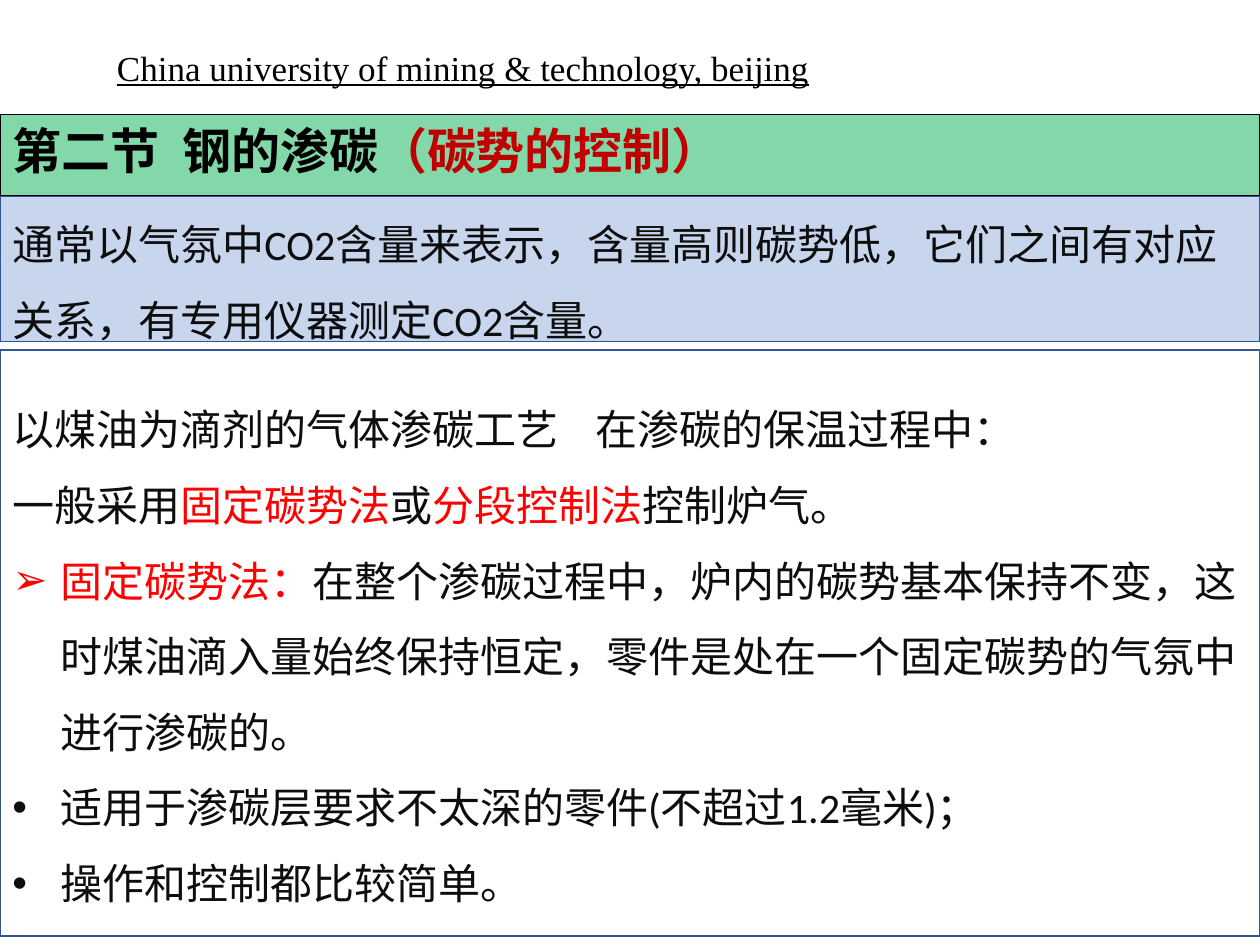
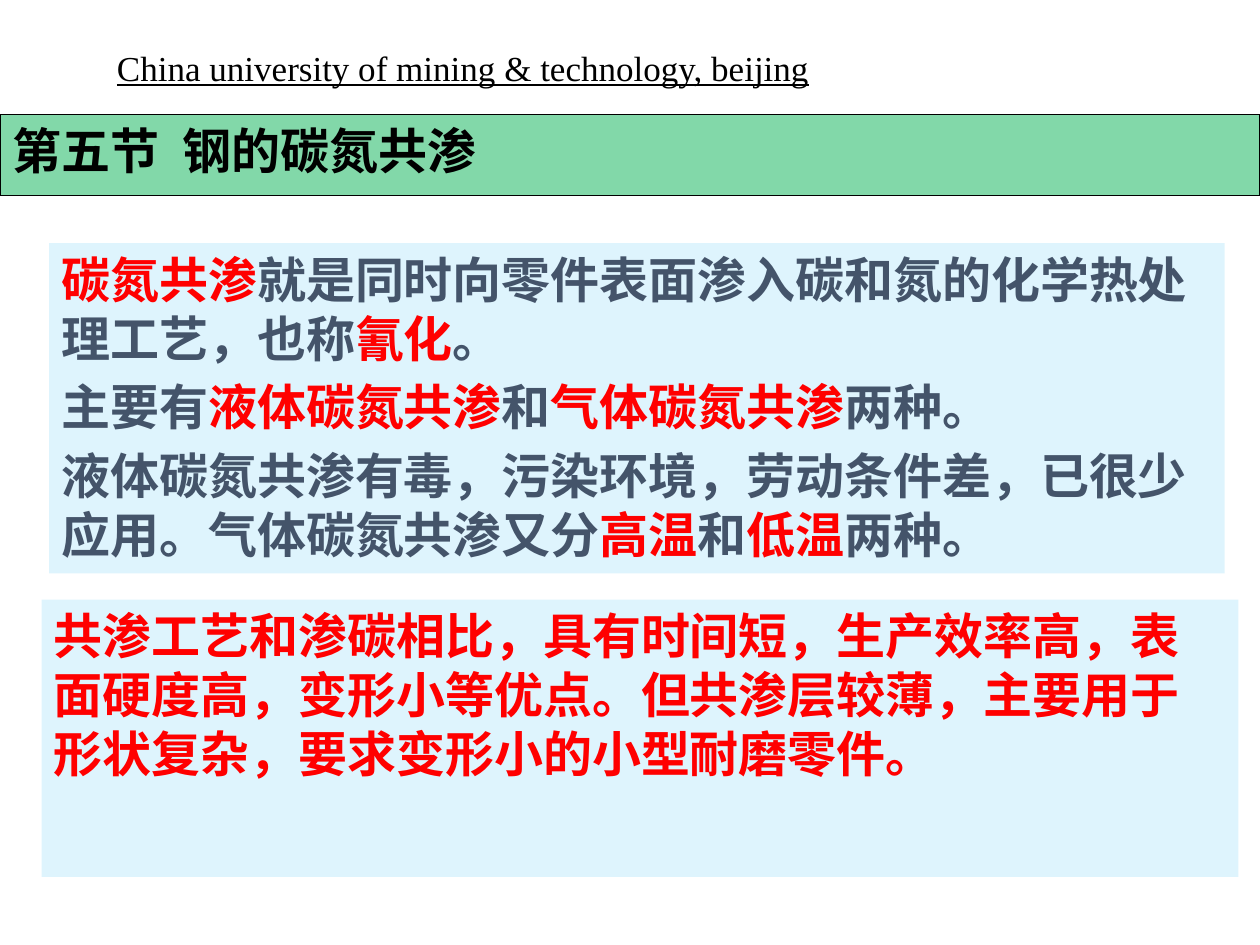
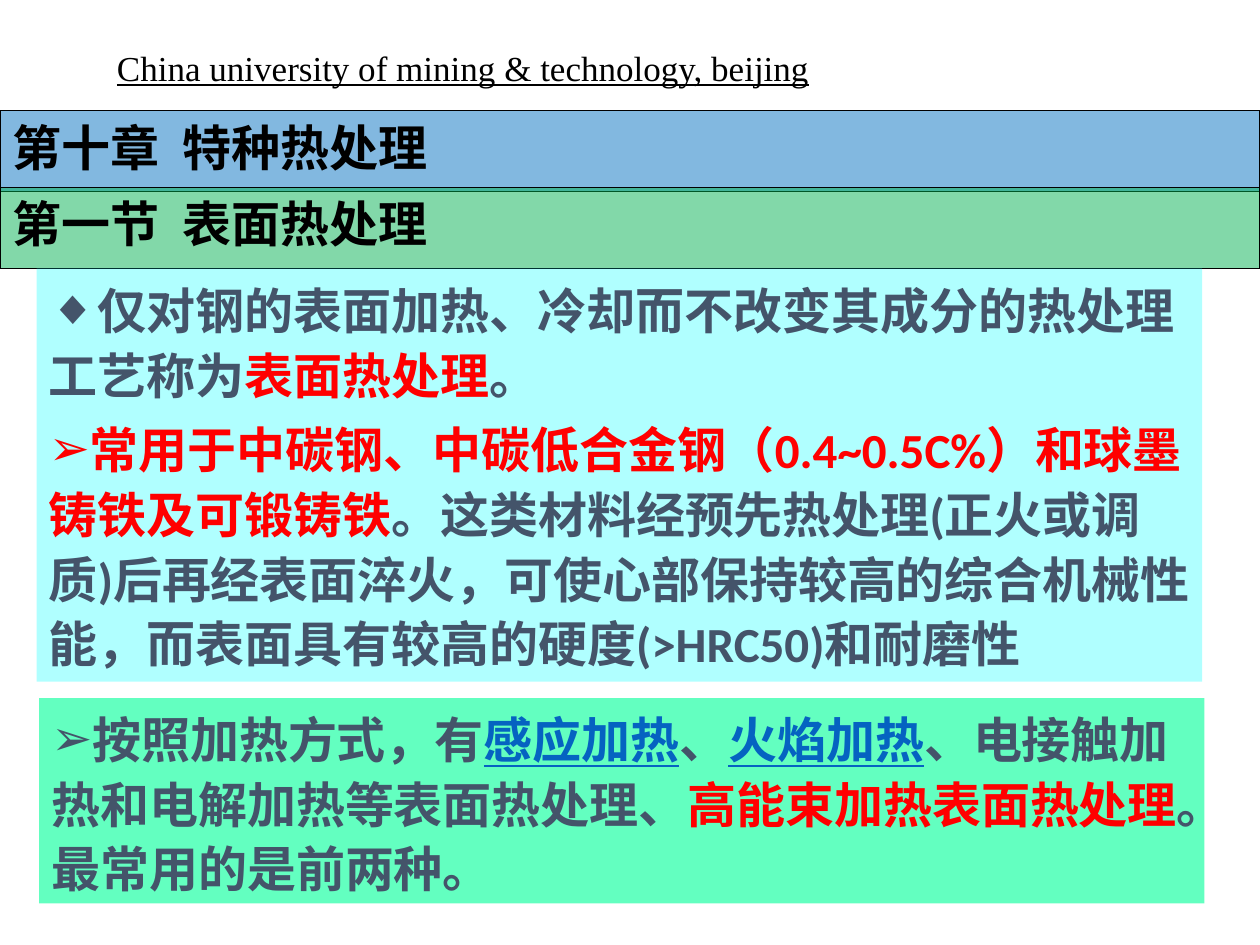
from lxml import etree
from pptx import Presentation
from pptx.dml.color import RGBColor
from pptx.enum.shapes import MSO_SHAPE
from pptx.enum.text import MSO_ANCHOR, PP_ALIGN
from pptx.oxml.ns import qn
from pptx.util import Inches, Pt

RECTANGLE = MSO_SHAPE.RECTANGLE
TOP, MIDDLE = MSO_ANCHOR.TOP, MSO_ANCHOR.MIDDLE
LEFT = PP_ALIGN.LEFT

BLACK, RED, DARK_RED = "000000", "FF0000", "C00000"
INK, SLATE, LINK, NAVY = "0D0D0D", "44546A", "0563C1", "325491"
GREEN, BLUE, PERIWINKLE = "00B050", "0070C0", "4472C4"
SKY, CYAN, MINT = "00B0F0", "00FFFF", "00FF99"

SLIDE_WIDTH, SLIDE_HEIGHT = 10, 7.5
BAND_HEIGHT = 0.64
BAND_TOP = 0.91
HEADING_TAB = 1.35
UNIVERSITY = "China university of mining & technology, beijing"


def color(value):
    """Turn a hex string into a colour."""
    return RGBColor.from_string(value)


def add_panel(slide, box, fill=None, opacity=100, line=None, line_width=1, anchor=TOP):
    """Add a rectangle and return its text frame."""
    shape = slide.shapes.add_shape(RECTANGLE, *map(Inches, box))
    shape.shadow.inherit = False
    if fill:
        shape.fill.solid()
        shape.fill.fore_color.rgb = color(fill)
        tint = shape.fill._xPr.find(qn("a:solidFill"))[0]
        etree.SubElement(tint, qn("a:alpha"), val=str(opacity * 1000))
    else:
        shape.fill.background()
    if line:
        shape.line.color.rgb = color(line)
        shape.line.width = Pt(line_width)
    else:
        shape.line.fill.background()
    frame = shape.text_frame
    frame.word_wrap = True
    frame.vertical_anchor = anchor
    return frame


def set_bullet(paragraph, character, hanging):
    """Give a paragraph a bullet with a hanging indent."""
    properties = paragraph._p.get_or_add_pPr()
    properties.set("marL", str(Inches(hanging)))
    properties.set("indent", str(-Inches(hanging)))
    etree.SubElement(properties, qn("a:buFont"), typeface="Arial")
    etree.SubElement(properties, qn("a:buChar"), char=character)


def set_tab(paragraph, position):
    """Give a paragraph one left tab stop."""
    stops = etree.SubElement(paragraph._p.get_or_add_pPr(), qn("a:tabLst"))
    etree.SubElement(stops, qn("a:tab"), pos=str(Inches(position)), algn="l")


def write(frame, paragraphs, size, font="Calibri", bold=False, spacing=1.0,
          before=0, hanging=0, tab=None):
    """Write paragraphs, each a bullet (or None) and its (text, colour) runs."""
    for index, (bullet, runs) in enumerate(paragraphs):
        paragraph = frame.add_paragraph() if index else frame.paragraphs[0]
        if bullet:
            set_bullet(paragraph, bullet, hanging)
        if tab and any("\t" in text for text, _ in runs):
            set_tab(paragraph, tab)
        paragraph.alignment = LEFT
        paragraph.line_spacing = spacing
        if index and before:
            paragraph.space_before = Pt(before)
        for text, text_color in runs:
            run = paragraph.add_run()
            run.text = text
            run.font.name = font
            run.font.size = Pt(size)
            run.font.bold = bold
            run.font.color.rgb = color(text_color)
            run.font.underline = text_color == LINK


def add_band(slide, top, runs, fill=GREEN):
    """Add a full-width heading band."""
    box = (0, top, SLIDE_WIDTH, BAND_HEIGHT)
    frame = add_panel(slide, box, fill, 49, BLACK, 0.75)
    write(frame, [(None, runs)], 28, "Arial", bold=True, tab=HEADING_TAB)


def add_outlined_text(slide, box, paragraphs, fill=None, opacity=100):
    """Add a blue-outlined panel of widely spaced text."""
    frame = add_panel(slide, box, fill, opacity, NAVY, anchor=MIDDLE)
    write(frame, paragraphs, 24, spacing=1.5, hanging=0.38, tab=4.63)


def add_bold_text(slide, box, paragraphs, fill, opacity, spacing=1.0, anchor=TOP):
    """Add a tinted panel of large bold text."""
    frame = add_panel(slide, box, fill, opacity, anchor=anchor)
    write(frame, paragraphs, 28, bold=True, spacing=spacing, before=5.6)


def add_page(presentation):
    """Add a blank slide with the university line."""
    slide = presentation.slides.add_slide(presentation.slide_layouts[6])
    title = slide.shapes.add_textbox(*map(Inches, (0.83, 0.28, 7.18, 0.55)))
    frame = title.text_frame
    frame.word_wrap = True
    frame.vertical_anchor = MIDDLE
    write(frame, [(None, [(UNIVERSITY, BLACK)])], 20, "Times New Roman", spacing=0.9)
    frame.paragraphs[0].runs[0].font.underline = True
    return slide


def build_carburizing(presentation):
    """Build the slide on carbon potential control."""
    slide = add_page(presentation)
    add_band(slide, BAND_TOP, [("第二节\t钢的渗碳", BLACK), ("（碳势的控制）", DARK_RED)])
    add_outlined_text(slide, (0, 1.56, SLIDE_WIDTH, 1.15), [
        (None, [("通常以气氛中CO2含量来表示，含量高则碳势低，它们之间有对应关系，"
                 "有专用仪器测定CO2含量。", INK)]),
    ], PERIWINKLE, 29)
    add_outlined_text(slide, (0, 2.78, SLIDE_WIDTH, 4.65), [
        (None, [("以煤油为滴剂的气体渗碳工艺\t在渗碳的保温过程中：", INK)]),
        (None, [("一般采用", INK), ("固定碳势法", RED), ("或", INK),
                ("分段控制法", RED), ("控制炉气。", INK)]),
        ("➢", [("固定碳势法：", RED),
               ("在整个渗碳过程中，炉内的碳势基本保持不变，这时煤油滴入量始终保持恒定，"
                "零件是处在一个固定碳势的气氛中进行渗碳的。", INK)]),
        ("•", [("适用于渗碳层要求不太深的零件(不超过1.2毫米)；", INK)]),
        ("•", [("操作和控制都比较简单。", INK)]),
    ])


def build_carbonitriding(presentation):
    """Build the slide on carbonitriding."""
    slide = add_page(presentation)
    add_band(slide, BAND_TOP, [("第五节\t钢的碳氮共渗", BLACK)])
    add_bold_text(slide, (0.39, 1.93, 9.33, 2.62), [
        (None, [("碳氮共渗", RED),
                ("就是同时向零件表面渗入碳和氮的化学热处理工艺，也称", SLATE),
                ("氰化", RED), ("。", SLATE)]),
        (None, [("主要有", SLATE), ("液体碳氮共渗", RED), ("和", SLATE),
                ("气体碳氮共渗", RED), ("两种。", SLATE)]),
        (None, [("液体碳氮共渗有毒，污染环境，劳动条件差，已很少应用。"
                 "气体碳氮共渗又分", SLATE),
                ("高温", RED), ("和", SLATE), ("低温", RED), ("两种。", SLATE)]),
    ], SKY, 13)
    add_bold_text(slide, (0.33, 4.76, 9.5, 2.2), [
        (None, [("共渗工艺和渗碳相比，具有时间短，生产效率高，表面硬度高，变形小等优点。"
                 "但共渗层较薄，主要用于形状复杂，要求变形小的小型耐磨零件。", RED)]),
    ], SKY, 13)


def build_surface_treatment(presentation):
    """Build the slide on surface heat treatment."""
    slide = add_page(presentation)
    add_band(slide, 0.88, [("第十章\t特种热处理", BLACK)], BLUE)
    add_band(slide, 1.49, [("第一节\t表面热处理", BLACK)])
    add_bold_text(slide, (0.29, 2.13, 9.25, 3.28), [
        ("◆", [("仅对钢的表面加热、冷却而不改变其成分的热处理工艺称为", SLATE),
               ("表面热处理", RED), ("。", SLATE)]),
        ("➢", [("常用于中碳钢、中碳低合金钢（0.4~0.5C%）和球墨铸铁及可锻铸铁", RED),
               ("。这类材料经预先热处理(正火或调质)后再经表面淬火，可使心部保持较高的"
                "综合机械性能，而表面具有较高的硬度(>HRC50)和耐磨性", SLATE)]),
    ], CYAN, 31, 1.1)
    add_bold_text(slide, (0.31, 5.54, 9.25, 1.63), [
        ("➢", [("按照加热方式，有", SLATE), ("感应加热", LINK), ("、", SLATE),
               ("火焰加热", LINK), ("、电接触加热和电解加热等表面热处理、", SLATE),
               ("高能束加热表面热处理", RED), ("。最常用的是前两种。", SLATE)]),
    ], MINT, 61, 1.1, MIDDLE)


def main():
    """Build and save the presentation."""
    presentation = Presentation()
    presentation.slide_width = Inches(SLIDE_WIDTH)
    presentation.slide_height = Inches(SLIDE_HEIGHT)
    build_carburizing(presentation)
    build_carbonitriding(presentation)
    build_surface_treatment(presentation)
    presentation.save("out.pptx")


if __name__ == "__main__":
    main()
